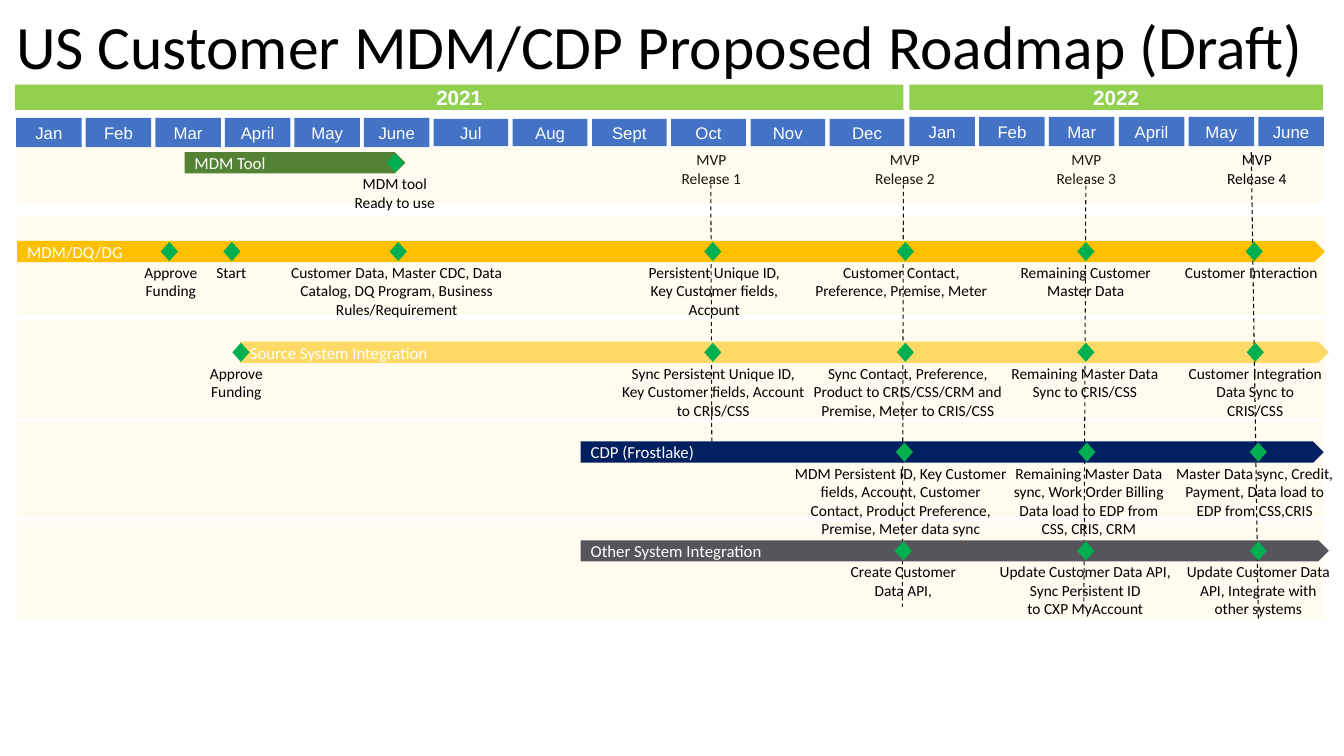
from collections import namedtuple

from lxml import etree
from pptx import Presentation
from pptx import util as u
from pptx.dml import color
from pptx.enum import dml, shapes, text
from pptx.oxml import ns

COLORS = {"black": "000000", "white": "FFFFFF", "year": "92D050", "month": "4472C4",
          "band": "FFD966", "milestone": "00B050", "tool": "548235", "quality": "FFC000",
          "source": "FFD966", "platform": "002060", "other": "55555A"}
Box = namedtuple("Box", "left top width height")
Lane = namedtuple("Lane", "name color box arrow_left arrow_top arrow_width milestones")

YEARS = [("2021", 0, 8.81), ("2022", 8.87, 4.1)]
MONTH_GROUPS = [(0.01, 0.33, 0.69, 0.65, 0.29, ["Jan", "Feb", "Mar", "April", "May", "June"]),
                (4.15, 0.34, 0.786, 0.74, 0.27, ["Jul", "Aug", "Sept", "Oct", "Nov", "Dec"]),
                (8.87, 0.32, 0.692, 0.65, 0.29, ["Jan", "Feb", "Mar", "April", "May", "June"])]
RELEASES = [(6.58, (7.05, 1.76), (7.06, 4.46)), (8.5, (8.96, 1.76), (8.95, 6.02)),
            (10.3, (10.77, 1.77), (10.75, 6.03)), (11.99, (12.41, 1.51), (12.48, 6.14))]

LANES = [
    Lane("MDM Tool", "tool", Box(0.17, 1.47, 12.95, 0.55), 1.66, 0.04, 2.19, [
        (3.75, 3.27, 0.95, "MDM tool\nReady to use")]),
    Lane("MDM/DQ/DG", "quality", Box(0.17, 2.15, 12.97, 0.97), 0, 0.24, 12.97, [
        (1.51, 1.14, 0.77, "Approve\nFunding"),
        (2.13, 1.65, 0.95, "Start"),
        (3.78, 2.63, 2.27,
         "Customer Data, Master CDC, Data Catalog, DQ Program, Business Rules/Requirement"),
        (6.9, 5.98, 1.87, "Persistent Unique ID,\nKey Customer fields,\nAccount"),
        (8.81, 7.75, 2.04, "Customer Contact,\nPreference, Premise, Meter"),
        (10.6, 9.58, 2.04, "Remaining Customer\nMaster Data"),
        (12.27, 11.22, 2.04, "Customer Interaction")]),
    Lane("Source System Integration", "source", Box(0.17, 3.17, 12.97, 0.98), 2.21, 0.22, 10.8, [
        (2.22, 1.79, 0.77, "Approve\nFunding"),
        (6.9, 5.99, 1.83, "Sync Persistent Unique ID, Key Customer fields, Account to CRIS/CSS"),
        (8.81, 7.83, 2.01, "Sync Contact, Preference, Product to CRIS/CSS/CRM and "
                           "Premise, Meter to CRIS/CSS"),
        (10.6, 9.8, 1.58, "Remaining Master Data Sync to CRIS/CSS"),
        (12.28, 11.55, 1.46, "Customer Integration Data Sync to\nCRIS/CSS")]),
    Lane("CDP (Frostlake)", "platform", Box(0.17, 4.19, 12.96, 0.94), 5.59, 0.19, 7.37, [
        (8.8, 7.71, 2.11, "MDM Persistent ID, Key Customer fields, Account, Customer "
                          "Contact, Product Preference, Premise, Meter data sync"),
        (10.61, 9.83, 1.6, "Remaining Master Data sync, Work Order Billing "
                           "Data load to EDP from CSS, CRIS, CRM"),
        (12.31, 11.46, 1.63, "Master Data sync, Credit, Payment, Data load to EDP from CSS,CRIS")]),
    Lane("Other System Integration", "other", Box(0.17, 5.17, 12.96, 0.97), 5.59, 0.19, 7.42, [
        (8.79, 8.25, 1.08, "Create Customer Data API,"),
        (10.6, 9.66, 1.87, "Update Customer Data API,\nSync Persistent ID\nto CXP MyAccount"),
        (12.31, 11.5, 1.62, "Update Customer Data API, Integrate with\nother systems")]),
]


def rgb(name):
    """Return the named colour."""
    return color.RGBColor.from_string(COLORS[name])


def write(shape, content, size, tint, font="Calibri", align="CENTER", bold=False,
          anchor="MIDDLE", side=0):
    """Put formatted text into a shape."""
    frame = shape.text_frame
    frame.word_wrap = True
    frame.vertical_anchor = getattr(text.MSO_ANCHOR, anchor)
    frame.margin_top = frame.margin_bottom = 0
    frame.margin_left = frame.margin_right = u.Inches(side)
    frame.text = content
    for para in frame.paragraphs:
        para.alignment = getattr(text.PP_ALIGN, align)
        for span in para.runs:
            span.font.name, span.font.size, span.font.bold = font, u.Pt(size), bold
            span.font.color.rgb = rgb(tint)


def add_block(page, kind, box, fill):
    """Add a filled preset shape without outline."""
    block = page.shapes.add_shape(getattr(shapes.MSO_SHAPE, kind), *map(u.Inches, box))
    block.shadow.inherit = False
    block.fill.solid()
    block.fill.fore_color.rgb = rgb(fill)
    block.line.fill.background()
    return block


def add_label(page, box, content, size=11, anchor="TOP", align="CENTER"):
    """Add a black text box."""
    label = page.shapes.add_textbox(*map(u.Inches, box))
    write(label, content, size, "black", anchor=anchor, align=align)
    return label


def add_title(page, box):
    """Add the slide heading."""
    title = add_label(page, box, "US Customer MDM/CDP Proposed Roadmap (Draft)", 44, align="LEFT")
    title.text_frame.paragraphs[0].line_spacing = 0.9


def add_calendar(page, box):
    """Add the year bars and the month cells below them."""
    for year, left, width in YEARS:
        bar = add_block(page, "RECTANGLE", Box(box.left + left, box.top, width, 0.25), "year")
        write(bar, year, 14.7, "white", "Arial", bold=True)
    for left, top, pitch, width, height, months in MONTH_GROUPS:
        for index, month in enumerate(months):
            place = Box(box.left + left + index * pitch, box.top + top, width, height)
            write(add_block(page, "RECTANGLE", place, "month"), month, 12, "white", "Arial")


def add_release(page, box, number, start, end):
    """Add a release label and its dashed marker line."""
    line = page.shapes.add_connector(shapes.MSO_CONNECTOR.STRAIGHT, *map(u.Inches, start + end))
    line.line.color.rgb = rgb("black")
    line.line.width = u.Pt(0.75)
    line.line.dash_style = dml.MSO_LINE.DASH
    etree.SubElement(line._element.spPr, ns.qn("a:effectLst"))
    add_label(page, box, f"MVP\nRelease {number}")


def add_lane(page, box, lane):
    """Add the pale band and the named arrow of a lane."""
    band = add_block(page, "RECTANGLE", box, "band")
    tint = band._element.spPr.find(ns.qn("a:solidFill"))[0]
    etree.SubElement(tint, ns.qn("a:alpha"), val="10000")
    place = Box(box.left + lane.arrow_left, box.top + lane.arrow_top, lane.arrow_width, 0.21)
    arrow = add_block(page, "PENTAGON", place, lane.color)
    write(arrow, lane.name, 12, "white", align="LEFT", side=0.1)


def add_milestones(page, box, lane):
    """Add the diamonds of a lane with their labels."""
    top = box.top + lane.arrow_top
    for center, left, width, content in lane.milestones:
        place = Box(box.left + center - 0.085, top + 0.01, 0.17, 0.19)
        add_block(page, "DIAMOND", place, "milestone")
        add_label(page, Box(box.left + left, top + 0.22, width, 0.56), content)


def main():
    """Build the roadmap slide."""
    deck = Presentation()
    deck.slide_width, deck.slide_height = u.Inches(13.33), u.Inches(7.5)
    page = deck.slides.add_slide(deck.slide_layouts[6])
    releases = [(Box(left, 1.49, 0.95, 0.37), number, start, end)
                for number, (left, start, end) in enumerate(RELEASES, 1)]
    add_title(page, Box(0.16, 0.16, 12.98, 0.55))
    for release in releases[:3]:
        add_release(page, *release)
    add_calendar(page, Box(0.15, 0.84, 12.98, 0.62))
    for lane in LANES:
        add_lane(page, lane.box, lane)
    add_release(page, *releases[3])
    for lane in LANES:
        add_milestones(page, lane.box, lane)
    deck.save("out.pptx")


if __name__ == "__main__":
    main()
